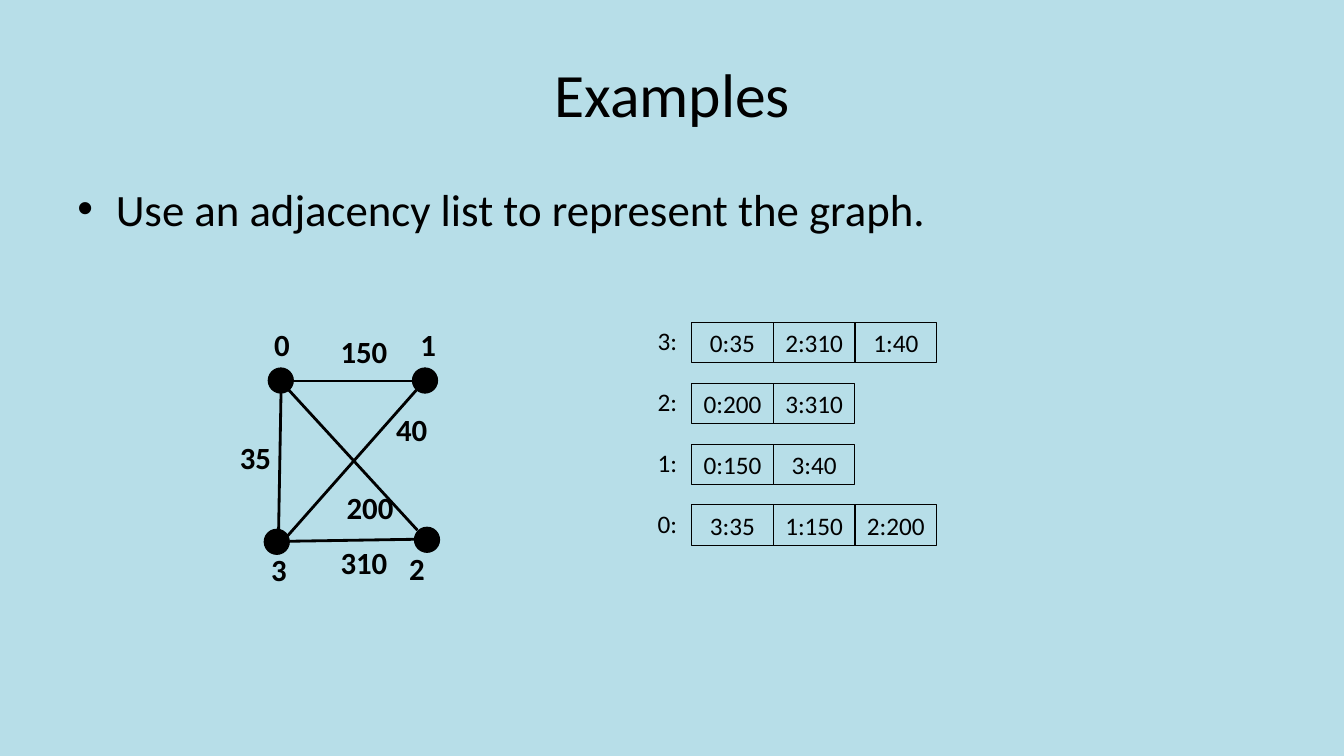
from lxml import etree
from pptx import Presentation
from pptx.dml.color import RGBColor
from pptx.enum.shapes import MSO_CONNECTOR, MSO_SHAPE
from pptx.enum.text import MSO_ANCHOR, MSO_AUTO_SIZE, PP_ALIGN
from pptx.oxml.ns import qn
from pptx.util import Inches, Pt

TITLE = "Examples"
BULLET = "Use an adjacency list to represent the graph."
FONT, INK, BACKGROUND = "Calibri", "000000", "B7DEE8"

# Left and top of each vertex dot
VERTICES = [(2.66, 3.65), (4.09, 3.65), (4.11, 5.23), (2.62, 5.25)]
DOT = 0.25
EDGES = [  # x and y of both ends
    (2.91, 3.78, 4.09, 3.78),
    (2.76, 5.45, 2.79, 3.75),
    (2.87, 5.37, 4.11, 5.35),
    (2.81, 3.81, 4.14, 5.26),
    (2.77, 5.41, 4.13, 3.87),
]
GRAPH_LABELS = [  # text, left, top
    ("0", 2.62, 3.18), ("1", 4.07, 3.18), ("3", 2.59, 5.41), ("2", 3.96, 5.4),
    ("150", 3.28, 3.25), ("200", 3.34, 4.8), ("35", 2.28, 4.3),
    ("40", 3.83, 4.03), ("310", 3.28, 5.35),
]
LABEL_WIDTHS = {1: 0.36, 2: 0.51, 3: 0.67}

ADJACENCY = [
    ("3:", ["0:35", "2:310", "1:40"]),
    ("2:", ["0:200", "3:310"]),
    ("1:", ["0:150", "3:40"]),
    ("0:", ["3:35", "1:150", "2:200"]),
]
LIST_LEFT, LIST_TOP, LAST_ROW_TOP = 6.86, 3.2, 5.01
CELL_WIDTH, CELL_HEIGHT = 0.81, 0.4
KEY_LEFT, KEY_RISE = 6.42, 0.02


def color(code):
    return RGBColor.from_string(code)


def write(shape, text, size, align=PP_ALIGN.LEFT, bold=False, wrap=True,
          anchor=MSO_ANCHOR.TOP):
    """Put one styled paragraph into a shape and return it."""
    frame = shape.text_frame
    frame.word_wrap = wrap
    frame.auto_size = MSO_AUTO_SIZE.NONE
    frame.vertical_anchor = anchor
    para = frame.paragraphs[0]
    para.alignment = align
    span = para.add_run()
    span.text = text
    span.font.name = FONT
    span.font.size = Pt(size)
    span.font.bold = bold
    span.font.color.rgb = color(INK)
    return para


def add_text(page, place, text, size, **style):
    box = page.shapes.add_textbox(*map(Inches, place))
    return write(box, text, size, **style)


def add_bullet(para, indent):
    props = para._p.get_or_add_pPr()
    props.set("marL", str(Inches(indent)))
    props.set("indent", str(-Inches(indent)))
    etree.SubElement(props, qn("a:buFont")).set("typeface", "Arial")
    etree.SubElement(props, qn("a:buChar")).set("char", "•")


def add_edge(page, ends):
    edge = page.shapes.add_connector(MSO_CONNECTOR.STRAIGHT, *map(Inches, ends))
    edge.line.color.rgb = color(INK)
    edge.line.width = Pt(2)
    etree.SubElement(edge._element.spPr, qn("a:effectLst"))


def add_vertex(page, left, top):
    dot = page.shapes.add_shape(MSO_SHAPE.OVAL, *map(Inches, (left, top, DOT, DOT)))
    dot.shadow.inherit = False
    dot.fill.solid()
    dot.fill.fore_color.rgb = color(INK)
    dot.line.color.rgb = color(INK)


def add_cell(page, left, top, text):
    place = (left, top, CELL_WIDTH, CELL_HEIGHT)
    cell = page.shapes.add_shape(MSO_SHAPE.RECTANGLE, *map(Inches, place))
    cell.shadow.inherit = False
    cell.fill.background()
    cell.line.color.rgb = color(INK)
    cell.line.width = Pt(0.75)
    write(cell, text, 18, align=PP_ALIGN.CENTER, anchor=MSO_ANCHOR.MIDDLE)


def add_graph(page):
    for ends in EDGES:
        add_edge(page, ends)
    for left, top in VERTICES:
        add_vertex(page, left, top)
    for text, left, top in GRAPH_LABELS:
        place = (left, top, LABEL_WIDTHS[len(text)], 0.47)
        add_text(page, place, text, 22, bold=True, wrap=False)


def add_adjacency_list(page):
    pitch = (LAST_ROW_TOP - LIST_TOP) / (len(ADJACENCY) - 1)
    for row, (key, neighbours) in enumerate(ADJACENCY):
        top = LIST_TOP + row * pitch
        add_text(page, (KEY_LEFT, top - KEY_RISE, 0.4, CELL_HEIGHT), key, 18,
                 align=PP_ALIGN.CENTER, wrap=False)
        for column, text in enumerate(neighbours):
            add_cell(page, LIST_LEFT + column * CELL_WIDTH, top, text)


def main():
    deck = Presentation()
    deck.slide_width, deck.slide_height = Inches(13.33), Inches(7.5)
    page = deck.slides.add_slide(deck.slide_layouts[6])
    page.background.fill.solid()
    page.background.fill.fore_color.rgb = color(BACKGROUND)

    add_text(page, (0.67, 0.3, 12, 1.25), TITLE, 44,
             align=PP_ALIGN.CENTER, anchor=MSO_ANCHOR.MIDDLE)
    bullet = add_text(page, (0.67, 1.75, 12, 5.48), BULLET, 32)
    bullet.space_before = Pt(6.4)
    add_bullet(bullet, 0.38)
    add_graph(page)
    add_adjacency_list(page)
    deck.save("out.pptx")


if __name__ == "__main__":
    main()
